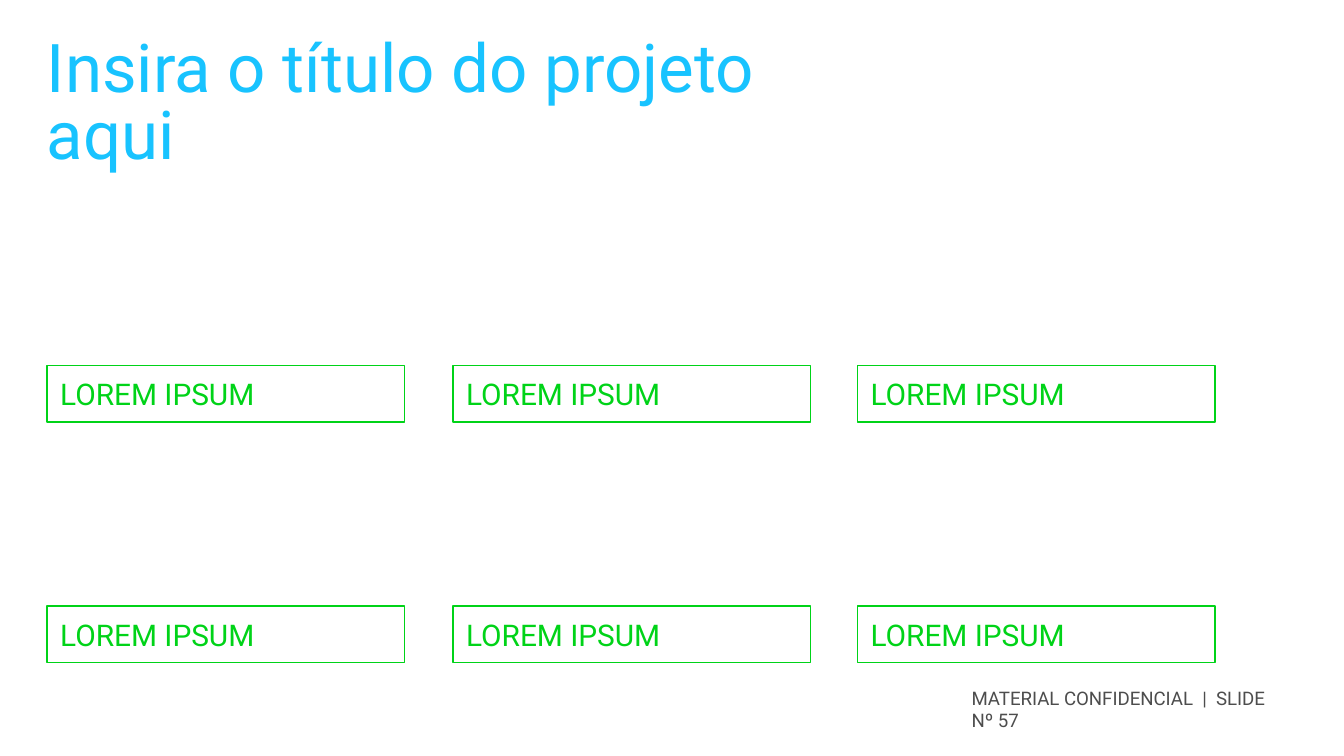
from pptx import Presentation, util as u
from pptx.dml.color import RGBColor
from pptx.enum import shapes, text

BLUE, GREEN, GRAY = "18C3FF", "00D318", "4D4D4D"
FONT = "Roboto"

TITLE = "Insira o título do projeto aqui"
FOOTER = "MATERIAL CONFIDENCIAL  |  SLIDE Nº 57"
LABEL_ROWS = [
    ["LOREM IPSUM", "LOREM IPSUM", "LOREM IPSUM"],
    ["LOREM IPSUM", "LOREM IPSUM", "LOREM IPSUM"],
]

SLIDE_WIDTH = 10
SLIDE_HEIGHT = SLIDE_WIDTH * 9 / 16
COLUMN_LEFTS = [0.35, 3.37, 6.38]
ROW_TOPS = [2.72, 4.51]
LABEL_WIDTH, LABEL_HEIGHT = 2.66, 0.42


def color(value):
    return RGBColor.from_string(value)


def write(shape, content, size, hex_color, side_margin=0, anchor=text.MSO_ANCHOR.TOP):
    """Fill the shape with one left-aligned paragraph and return it."""
    frame = shape.text_frame
    frame.word_wrap = True
    frame.vertical_anchor = anchor
    frame.margin_left = frame.margin_right = u.Inches(side_margin)
    frame.margin_top = frame.margin_bottom = 0
    paragraph = frame.paragraphs[0]
    paragraph.text = content
    paragraph.alignment = text.PP_ALIGN.LEFT
    paragraph.font.name = FONT
    paragraph.font.size = u.Pt(size)
    paragraph.font.color.rgb = color(hex_color)
    return paragraph


def add_text(slide, box, content, size, hex_color):
    shape = slide.shapes.add_textbox(*map(u.Inches, box))
    return write(shape, content, size, hex_color)


def add_label(slide, left, top, content):
    box = (left, top, LABEL_WIDTH, LABEL_HEIGHT)
    shape = slide.shapes.add_shape(shapes.MSO_SHAPE.RECTANGLE, *map(u.Inches, box))
    shape.shadow.inherit = False
    shape.fill.background()
    shape.line.color.rgb = color(GREEN)
    shape.line.width = u.Pt(0.75)
    write(shape, content, 16, GREEN, side_margin=0.1, anchor=text.MSO_ANCHOR.MIDDLE)


def main():
    presentation = Presentation()
    presentation.slide_width = u.Inches(SLIDE_WIDTH)
    presentation.slide_height = u.Inches(SLIDE_HEIGHT)
    slide = presentation.slides.add_slide(presentation.slide_layouts[6])

    add_text(slide, (7.23, 5.11, 2.33, 0.3), FOOTER, 10, GRAY)
    title = add_text(slide, (0.35, 0.29, 5.67, 0.92), TITLE, 36, BLUE)
    title.line_spacing = u.Pt(36)

    for top, labels in zip(ROW_TOPS, LABEL_ROWS):
        for left, label in zip(COLUMN_LEFTS, labels):
            add_label(slide, left, top, label)

    presentation.save("out.pptx")


if __name__ == "__main__":
    main()
